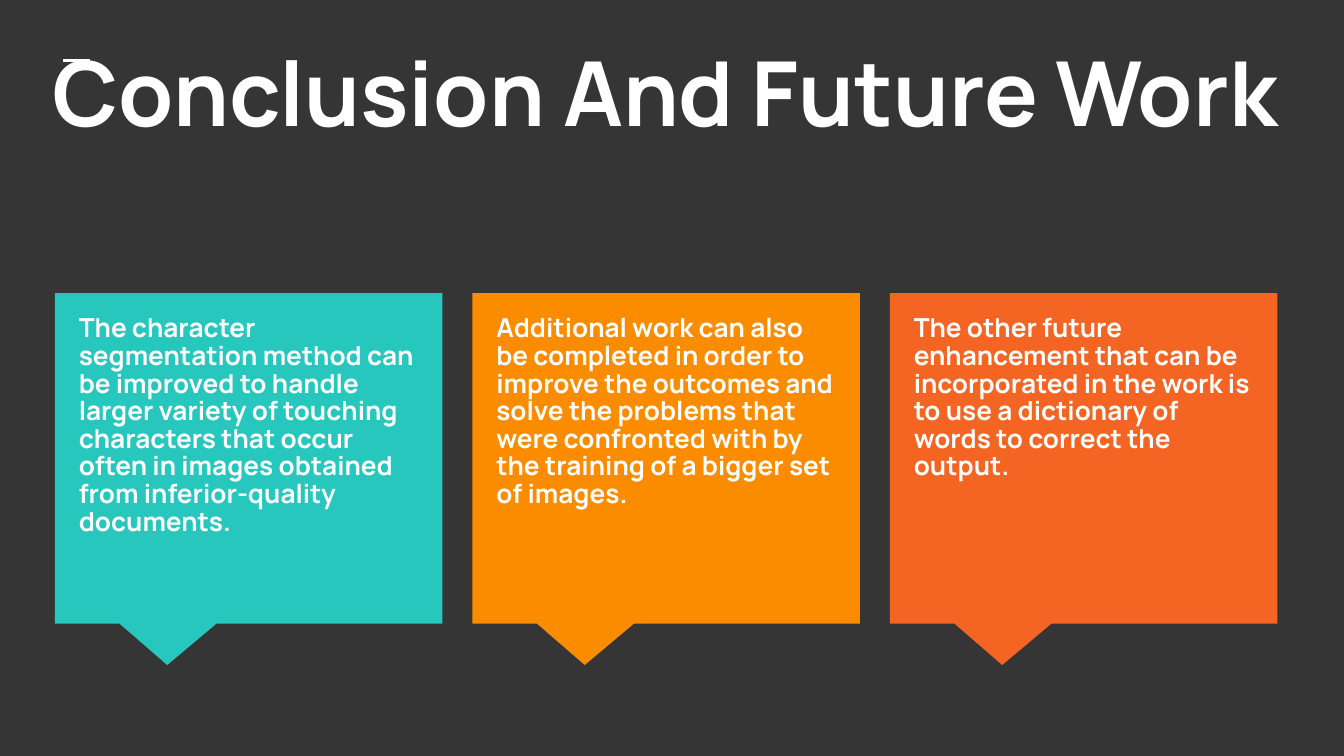
from lxml import etree
from pptx import Presentation
from pptx.dml.color import RGBColor
from pptx.enum import shapes, text
from pptx.oxml.ns import qn
from pptx.util import Cm, Pt

TITLE = "Conclusion And Future Work"
CARDS = [
    ("27C7BD", "The character segmentation method can be improved to handle larger variety of "
               "touching characters that occur often in images obtained from inferior-quality documents."),
    ("FB8C00", "Additional work can also be completed in order to improve the outcomes and solve "
               "the problems that were confronted with by the training of a bigger set of images."),
    ("F46524", "The other future enhancement that can be incorporated in the work is to use a "
               "dictionary of words to correct the output."),
]
FONT, WHITE, BACKGROUND = "Manrope", "FFFFFF", "353535"
CARD_LEFT, CARD_TOP, CARD_W, CARD_H, CARD_STEP = 1.04, 5.54, 7.32, 6.25, 7.89
TEXT_DX, TEXT_DY, TEXT_W, TEXT_H = 0.2, 0.18, 6.88, 5.56


def paint(target, color):
    target.solid()
    target.fore_color.rgb = RGBColor.from_string(color)


def write(sp, content, size, anchor, spacing):
    tf = sp.text_frame
    tf.word_wrap = True
    tf.auto_size = text.MSO_AUTO_SIZE.NONE
    tf.vertical_anchor = anchor
    tf.margin_left = tf.margin_right = tf.margin_top = tf.margin_bottom = Cm(0.25)
    p = tf.paragraphs[0]
    p.alignment = text.PP_ALIGN.LEFT
    p.line_spacing = spacing
    p.space_before = Pt(0)
    r = p.add_run()
    r.text = content
    r.font.name, r.font.size, r.font.bold = FONT, Pt(size), True
    r.font.color.rgb = RGBColor.from_string(WHITE)


def add_rule(s):
    rule = s.shapes.add_connector(shapes.MSO_CONNECTOR.STRAIGHT, Cm(1.19), Cm(1.14), Cm(1.7), Cm(1.14))
    rule.line.width = Pt(1.5)
    paint(rule.line.fill, WHITE)
    etree.SubElement(rule.line._get_or_add_ln().getparent(), qn("a:effectLst"))


def add_card(s, left, color, content):
    card = s.shapes.add_shape(shapes.MSO_SHAPE.RECTANGULAR_CALLOUT,
                              Cm(left), Cm(CARD_TOP), Cm(CARD_W), Cm(CARD_H))
    card.adjustments[0], card.adjustments[1] = -0.21, 0.625
    card.shadow.inherit = False
    card.line.fill.background()
    paint(card.fill, color)
    box = s.shapes.add_textbox(Cm(left + TEXT_DX), Cm(CARD_TOP + TEXT_DY), Cm(TEXT_W), Cm(TEXT_H))
    write(box, content, 14, text.MSO_ANCHOR.TOP, 0.88)


def main():
    prs = Presentation()
    prs.slide_width, prs.slide_height = Cm(25.4), Cm(14.29)
    s = prs.slides.add_slide(prs.slide_layouts[5])
    paint(s.background.fill, BACKGROUND)
    add_rule(s)
    title = s.shapes.title
    title.left, title.top, title.width, title.height = Cm(0.74), Cm(0.43), Cm(23.95), Cm(2.84)
    write(title, TITLE, 48, text.MSO_ANCHOR.MIDDLE, 0.9)
    for i, (color, content) in enumerate(CARDS):
        add_card(s, CARD_LEFT + i * CARD_STEP, color, content)
    prs.save("out.pptx")


if __name__ == "__main__":
    main()
